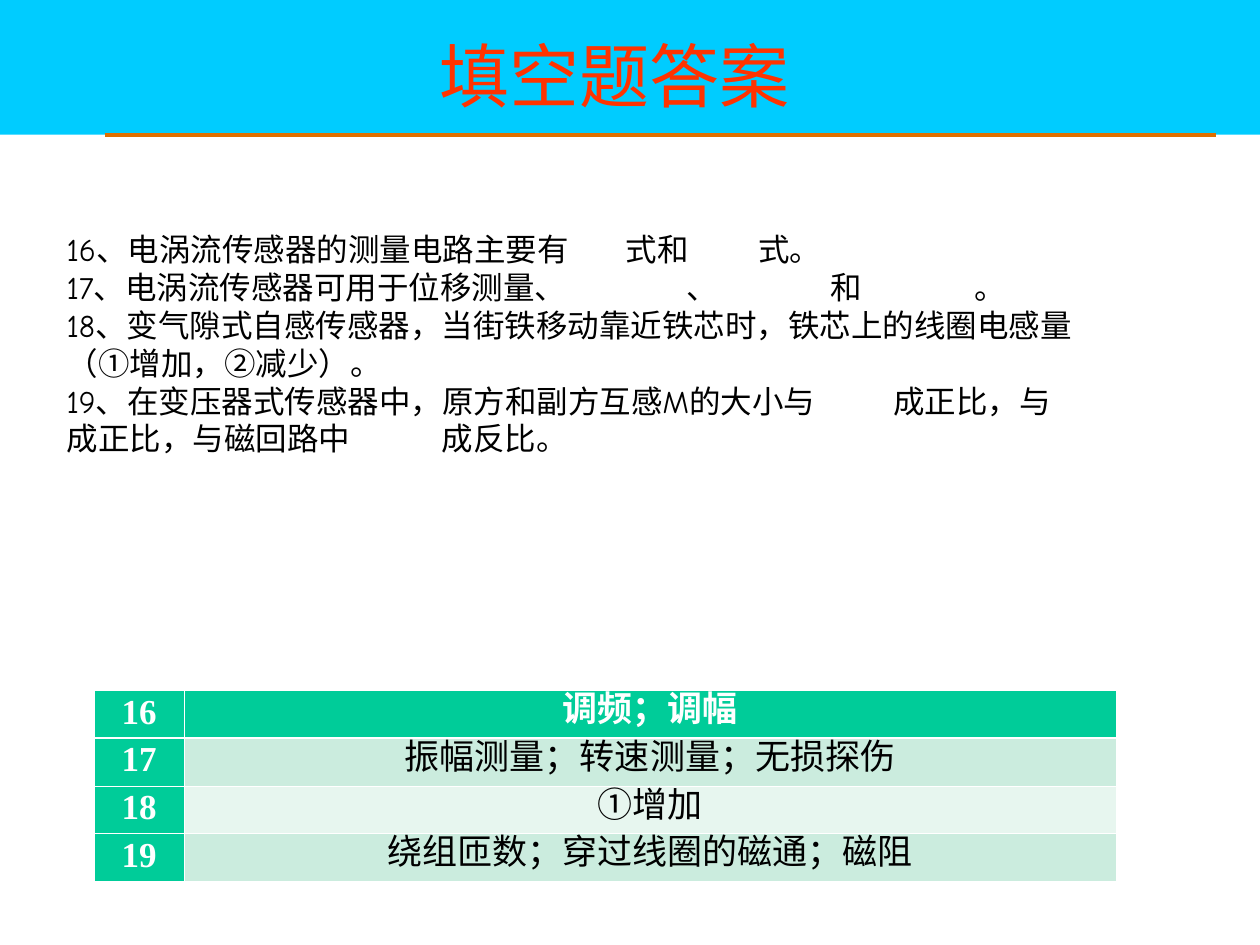
from lxml.etree import SubElement
from pptx import Presentation
from pptx.dml.color import RGBColor
from pptx.enum.shapes import MSO_CONNECTOR as CONNECTOR, MSO_SHAPE as SHAPE
from pptx.enum.text import MSO_ANCHOR as ANCHOR, MSO_AUTO_SIZE as AUTOSIZE, PP_ALIGN as ALIGN
from pptx.oxml.ns import qn
from pptx.util import Inches, Pt

COLORS = {
    "band": "00CCFF", "rule": "DE6F00", "title": "FF3300", "text": "000000",
    "white": "FFFFFF", "header": "00CC99", "odd": "CBECDE", "even": "E7F6EF",
}
QUESTIONS = [
    (["16、电涡流传感器的测量电路主要有", "式和", "式。"], [44.4, 54.9]),
    (["17、电涡流传感器可用于位移测量、", "、", "和", "。"], [49.2, 60.6, 72.1]),
    (["18、变气隙式自感传感器，当街铁移动靠近铁芯时，铁芯上的线圈电感量", "（①增加，②减少）。"], [83.7]),
    (["19、在变压器式传感器中，原方和副方互感M的大小与", "成正比，与", "成正比，与磁回路中", "成反比。"],
     [29.8, 65.6, 84.9]),
]
ANSWERS = [
    ("16", "调频；调幅"),
    ("17", "振幅测量；转速测量；无损探伤"),
    ("18", "①增加"),
    ("19", "绕组匝数；穿过线圈的磁通；磁阻"),
]

prs = Presentation()
prs.slide_width, prs.slide_height = Inches(10), Inches(7.5)
slide = prs.slides.add_slide(prs.slide_layouts[5])
shapes = slide.shapes


def grid(*cells):
    sides = (prs.slide_width, prs.slide_height)
    return [round(sides[i % 2] * cell / 100) for i, cell in enumerate(cells)]


def add_run(paragraph, text, size, font, color, bold=False, underline=False):
    run = paragraph.add_run()
    run.text = text
    run.font.size, run.font.name = Pt(size), font
    run.font.bold, run.font.underline = bold, underline
    run.font.color.rgb = RGBColor.from_string(COLORS[color])


band = shapes.add_shape(SHAPE.RECTANGLE, *grid(0, 0, 100, 14.27))
band.shadow.inherit = False
band.fill.solid()
band.fill.fore_color.rgb = RGBColor.from_string(COLORS["band"])
band.line.fill.background()

rule = shapes.add_connector(CONNECTOR.STRAIGHT, *grid(8.3, 14.27, 96.5, 14.27))
rule.line.width = Pt(2.25)
rule.line.color.rgb = RGBColor.from_string(COLORS["rule"])
SubElement(rule.element.spPr, qn("a:effectLst"))

title = shapes.title
rule.element.addnext(title.element)
title.left, title.top, title.width, title.height = grid(2.7, 4.8, 92.1, 6.27)
title.text_frame.auto_size = AUTOSIZE.NONE
title.text_frame.vertical_anchor = ANCHOR.MIDDLE
heading = title.text_frame.paragraphs[0]
heading.alignment = ALIGN.CENTER
add_run(heading, "填空题答案", 40, "Times New Roman", "title")

answer_frame = shapes.add_table(len(ANSWERS), 2, *grid(7.5, 73.07, 81.1, 14.8))
answers = answer_frame.table
answers.columns[0].width, answers.columns[1].width = grid(7.1)[0], grid(74)[0]
for r, answer in enumerate(ANSWERS):
    for c, text in enumerate(answer):
        cell = answers.cell(r, c)
        cell.margin_left = cell.margin_right = Inches(0.06)
        cell.margin_top = cell.margin_bottom = Inches(0.05)
        cell_props = cell._tc.get_or_add_tcPr()
        for side in "LRTB":
            thick = (r, side) in ((0, "B"), (1, "T"))
            border = SubElement(cell_props, qn(f"a:ln{side}"), w=str(Pt(1.47 if thick else 0.45)))
            border_fill = SubElement(border, qn("a:solidFill"))
            SubElement(border_fill, qn("a:srgbClr"), val=COLORS["white"])
        strong = r == 0 or c == 0
        shade = "header" if strong else "odd" if r % 2 else "even"
        cell.fill.solid()
        cell.fill.fore_color.rgb = RGBColor.from_string(COLORS[shade])
        entry = cell.text_frame.paragraphs[0]
        entry.alignment, entry.line_spacing = ALIGN.CENTER, Pt(20)
        add_run(entry, text, 20, "Times New Roman", "white" if strong else "text", bold=strong)

questions = shapes.add_textbox(*grid(4.3, 23.73, 89, 25.33)).text_frame
questions.word_wrap = True
questions.auto_size = AUTOSIZE.SHAPE_TO_FIT_TEXT
for i, (phrases, blank_ends) in enumerate(QUESTIONS):
    question = questions.add_paragraph() if i else questions.paragraphs[0]
    tab_list = SubElement(question._p.get_or_add_pPr(), qn("a:tabLst"))
    for blank_end in blank_ends:
        SubElement(tab_list, qn("a:tab"), pos=str(grid(blank_end)[0]), algn="l")
    for j, phrase in enumerate(phrases):
        if j:
            add_run(question, "\t", 18, "Comic Neue", "text", underline=True)
        add_run(question, phrase, 18, "Comic Neue", "text")

prs.save("out.pptx")
